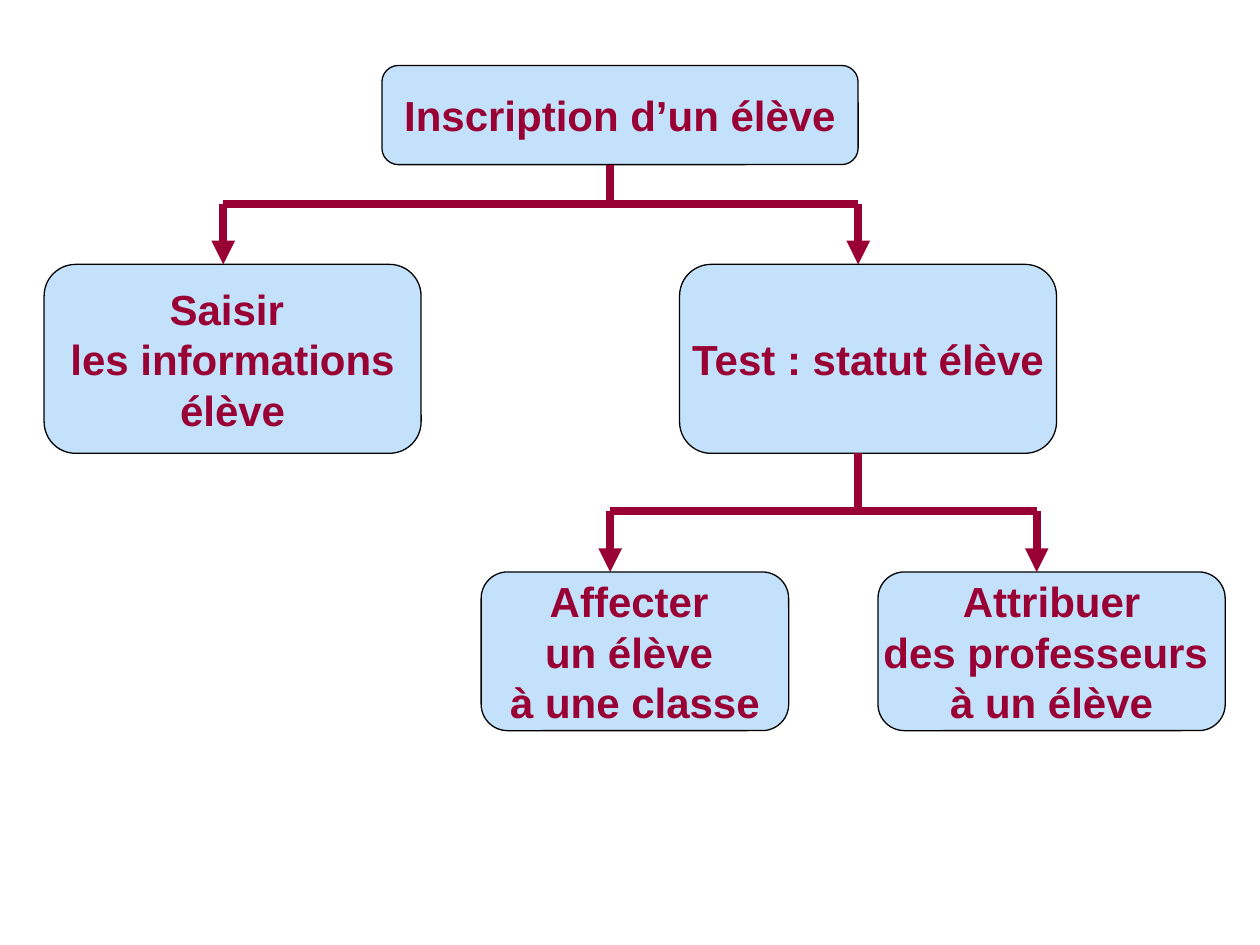
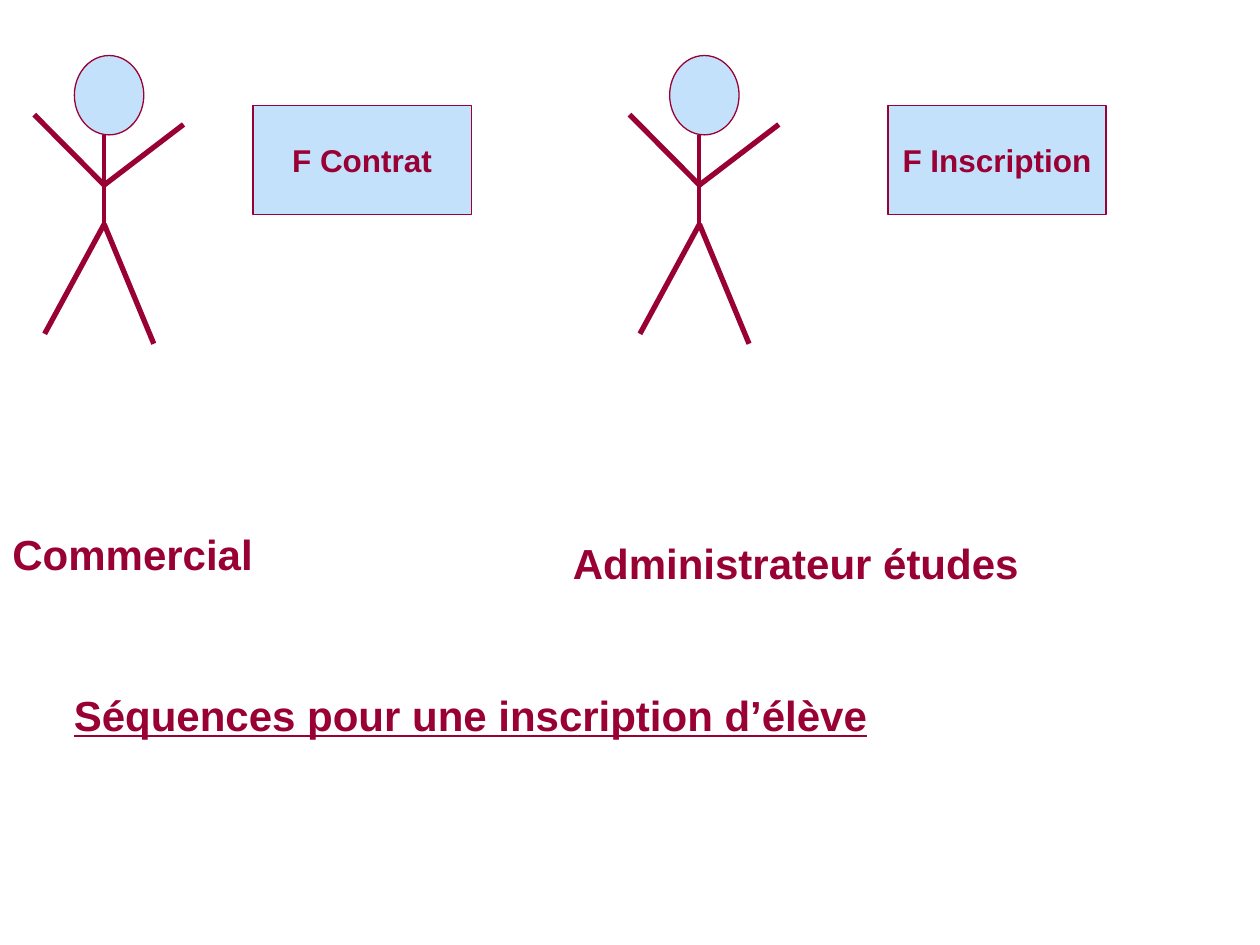
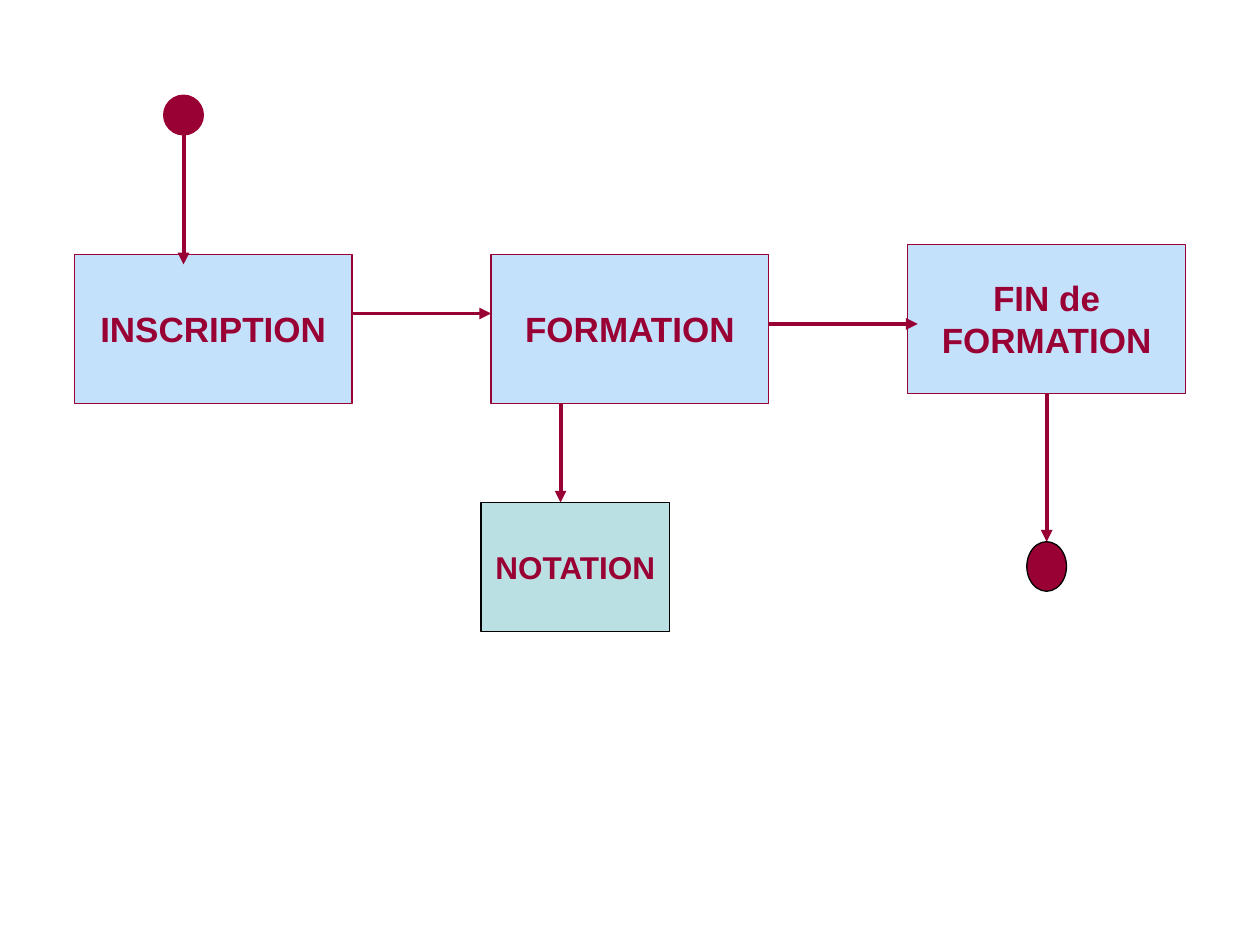
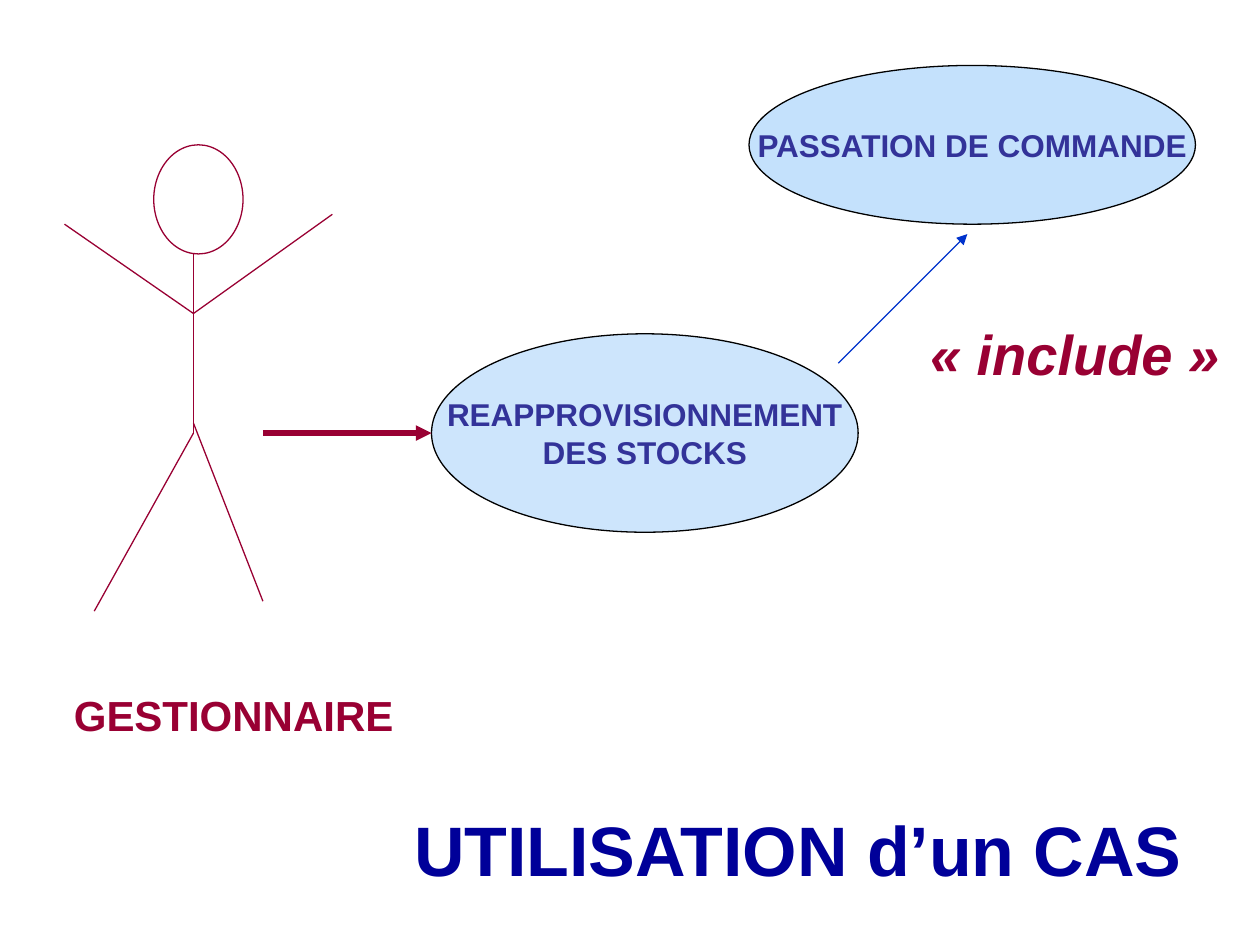
"""Build four UML diagram slides: tree, sequence, states and use case."""
from lxml import etree
from pptx import Presentation
from pptx.dml.color import RGBColor
from pptx.enum.shapes import MSO_CONNECTOR, MSO_SHAPE
from pptx.enum.text import MSO_ANCHOR, MSO_AUTO_SIZE, PP_ALIGN
from pptx.oxml.ns import qn
from pptx.util import Cm, Pt

ROUND, RECT, OVAL = MSO_SHAPE.ROUNDED_RECTANGLE, MSO_SHAPE.RECTANGLE, MSO_SHAPE.OVAL
LINE = MSO_CONNECTOR.STRAIGHT
MIDDLE, CENTER, LEFT = MSO_ANCHOR.MIDDLE, PP_ALIGN.CENTER, PP_ALIGN.LEFT
GROW = MSO_AUTO_SIZE.SHAPE_TO_FIT_TEXT
WINE = RGBColor(0x99, 0x00, 0x33)
SKY = RGBColor(0xC4, 0xE1, 0xFC)
PALE = RGBColor(0xCC, 0xE5, 0xFC)
TEAL = RGBColor(0xBB, 0xE0, 0xE3)
BLACK = RGBColor(0x00, 0x00, 0x00)
INDIGO = RGBColor(0x33, 0x33, 0x99)
NAVY = RGBColor(0x00, 0x00, 0x99)
BLUE = RGBColor(0x00, 0x33, 0xCC)
FONT = "Arial"


def draw(slide, kind, place, text="", size=24, ink=WINE, fill=SKY, edge=BLACK):
    """Add a preset shape, or a plain text box when kind is None."""
    left, top, width, height = map(Cm, place)
    if kind is None:
        item = slide.shapes.add_textbox(left, top, width, height)
        item.text_frame.auto_size = GROW
    else:
        item = slide.shapes.add_shape(kind, left, top, width, height)
        item.shadow.inherit = False
        item.line.color.rgb = edge
        item.line.width = Pt(0.75)
        if fill is None:
            item.fill.background()
        else:
            item.fill.solid()
            item.fill.fore_color.rgb = fill
        item.text_frame.vertical_anchor = MIDDLE
    frame = item.text_frame
    frame.word_wrap = False
    for i, words in enumerate(text.split("\n") if text else []):
        para = frame.add_paragraph() if i else frame.paragraphs[0]
        para.alignment = CENTER if kind else LEFT
        run = para.add_run()
        run.text = words
        run.font.name = FONT
        run.font.size = Pt(size)
        run.font.bold = True
        run.font.color.rgb = ink
    return item


def join(slide, ends, width, arrow=False, ink=WINE):
    """Add a straight line, with an arrowhead at its end if asked."""
    line = slide.shapes.add_connector(LINE, *map(Cm, ends))
    line.line.color.rgb = ink
    line.line.width = Pt(width)
    props = line.element.spPr
    if arrow:
        etree.SubElement(props.find(qn("a:ln")), qn("a:tailEnd"), type="triangle")
    etree.SubElement(props, qn("a:effectLst"))


deck = Presentation()
deck.slide_width, deck.slide_height = Cm(25.4), Cm(19.05)
blank = deck.slide_layouts[6]

tree = deck.slides.add_slide(blank)
for place, text in [
    ((7.7, 1.32, 9.6, 2), "Inscription d’un élève"),
    ((0.89, 5.33, 7.6, 3.81), "Saisir \nles informations\nélève"),
    ((9.7, 11.53, 6.2, 3.2), "Affecter \nun élève \nà une classe"),
    ((17.7, 11.53, 7, 3.2), "Attribuer\ndes professeurs \nà un élève"),
    ((13.7, 5.33, 7.6, 3.81), "Test : statut élève"),
]:
    draw(tree, ROUND, place, text)
for stem, top, bar, foot, left, right in [
    (12.3, 3.32, 4.11, 5.33, 4.5, 17.3),
    (17.3, 9.14, 10.31, 11.53, 12.3, 20.9),
]:
    for x in (left, right):
        join(tree, (x, bar, x, foot), 4.5, True)
    join(tree, (left, bar, right, bar), 4.5)
    join(tree, (stem, top, stem, bar), 4.5)

flow = deck.slides.add_slide(blank)
for x, card, text in [(0, 5.1, "F Contrat"), (12, 17.9, "F Inscription")]:
    draw(flow, OVAL, (x + 1.5, 1.12, 1.4, 1.6), edge=WINE)
    join(flow, (x + 2.1, 2.72, x + 2.1, 4.52), 2.25)
    for neck, tip, end in [
        (4.52, 0.9, 6.73), (4.52, 3.1, 6.93), (3.73, 0.69, 2.31), (3.73, 3.7, 2.51),
    ]:
        join(flow, (x + 2.1, neck, x + tip, end), 3)
    draw(flow, RECT, (card, 2.13, 4.4, 2.2), text, 18, edge=WINE)
draw(flow, None, (0, 10.52, 5.36, 1.27), "Commercial")
draw(flow, None, (11.3, 10.72, 9.5, 1.27), "Administrateur études")
title = draw(flow, None, (1.24, 13.77, 16.51, 1.27), "Séquences pour une inscription d’élève")
title.text_frame.paragraphs[0].runs[0].font.underline = True

states = deck.slides.add_slide(blank)
for x, y, text in [
    (1.5, 5.13, "INSCRIPTION"), (9.9, 5.13, "FORMATION"), (18.3, 4.93, "FIN de\nFORMATION"),
]:
    draw(states, RECT, (x, y, 5.6, 3), text, 20, edge=WINE)
draw(states, OVAL, (3.3, 1.92, 0.8, 0.8), fill=WINE, edge=WINE)
for ends in [
    (3.7, 2.51, 3.7, 5.33),
    (7.1, 6.32, 9.9, 6.32),
    (15.5, 6.53, 18.5, 6.53),
    (21.1, 7.93, 21.1, 10.92),
    (11.3, 8.13, 11.3, 10.13),
]:
    join(states, ends, 2.25, True)
draw(states, OVAL, (20.7, 10.92, 0.8, 1), fill=WINE)
draw(states, RECT, (9.7, 10.13, 3.8, 2.6), "NOTATION", 18, fill=TEAL)

case = deck.slides.add_slide(blank)
draw(case, OVAL, (3.1, 2.92, 1.8, 2.2), fill=None, edge=WINE)
for ends in [
    (3.9, 5.12, 3.9, 8.73),
    (3.9, 8.73, 1.9, 12.32),
    (3.9, 8.53, 5.3, 12.12),
    (1.3, 4.52, 3.9, 6.32),
    (3.9, 6.32, 6.7, 4.32),
]:
    join(case, ends, 0.75)
stock = draw(case, OVAL, (8.7, 6.73, 8.6, 4), "REAPPROVISIONNEMENT\nDES STOCKS", 18, INDIGO, PALE)
tint = stock.element.spPr.find(qn("a:solidFill")).find(qn("a:srgbClr"))
etree.SubElement(tint, qn("a:alpha"), val="98000")
join(case, (5.3, 8.73, 8.7, 8.73), 3, True)
join(case, (16.9, 7.32, 19.5, 4.72), 0.75, True, BLUE)
draw(case, OVAL, (15.1, 1.32, 9, 3.2), "PASSATION DE COMMANDE", 18, INDIGO)
draw(case, None, (1.24, 13.77, 6.96, 1.27), "GESTIONNAIRE")
label = draw(case, None, (18.5, 6.32, 6.35, 1.63), "« include »", 32)
label.text_frame.paragraphs[0].runs[0].font.italic = True
draw(case, None, (8.1, 16.13, 16.08, 1.96), "UTILISATION d’un CAS", 40, NAVY)

deck.save("out.pptx")
